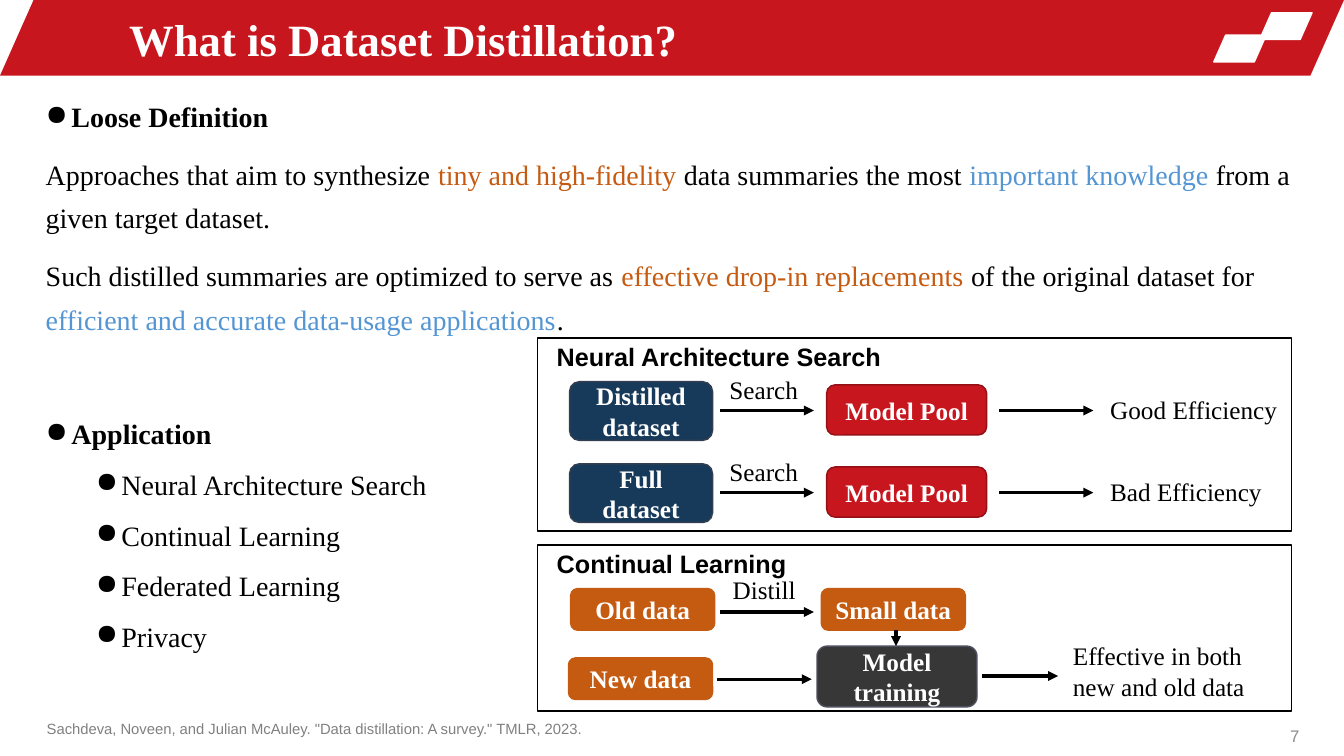
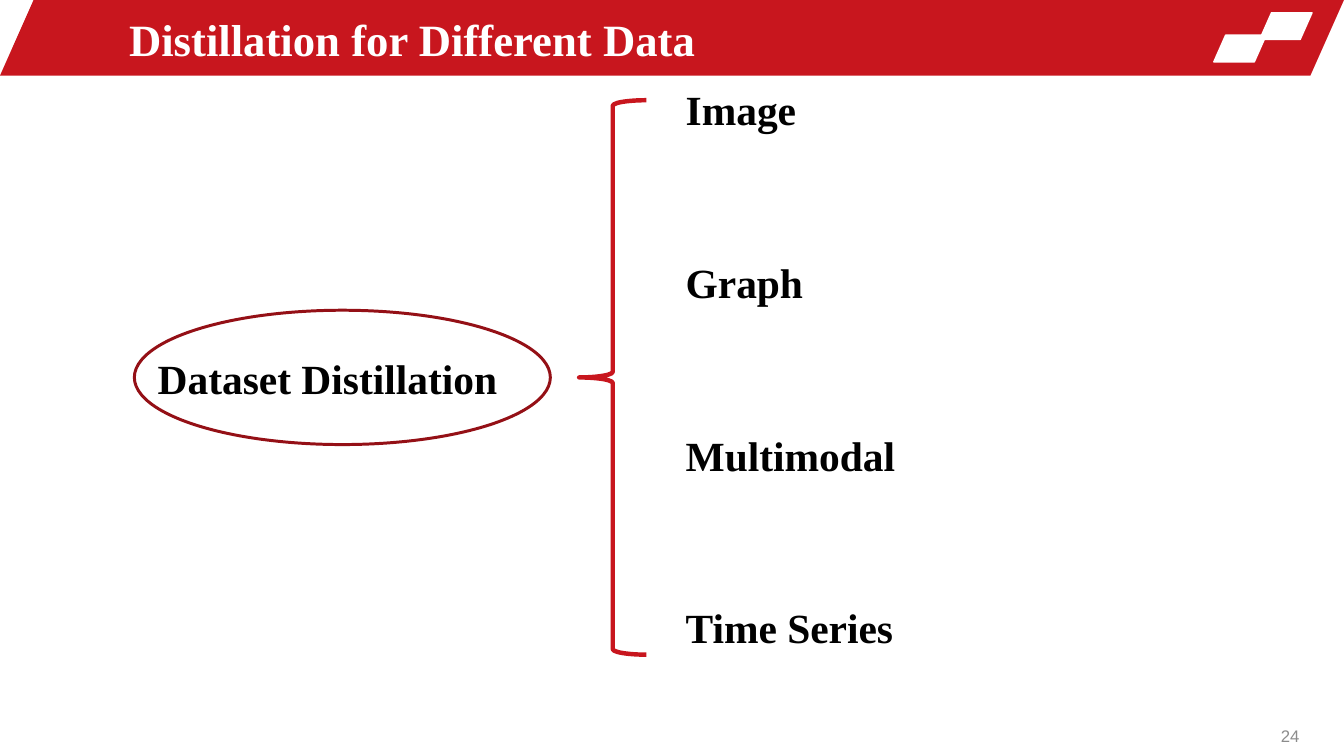
from lxml import etree
from pptx import Presentation
from pptx import util as u
from pptx.dml.color import RGBColor
from pptx.enum import shapes, text
from pptx.oxml.ns import qn

INK = {
    "red": "C8161E", "wine": "941016", "navy": "173A5A", "slate": "333F50",
    "rust": "C55A11", "blue": "5495D3", "coal": "373737", "steel": "4E505F",
    "black": "000000", "white": "FFFFFF", "gray": "808080", "pale": "8C8C8C",
}
SERIF, SANS = "Times New Roman", "Arial"
FORM, ALIGN, MID = shapes.MSO_SHAPE, text.PP_ALIGN, text.MSO_ANCHOR.MIDDLE


def tint(name):
    return RGBColor.from_string(INK[name])


class Deck:
    """Holds the shared style and the current slide."""

    def __init__(self, wide, high):
        self.prs = Presentation()
        self.prs.slide_width, self.prs.slide_height = u.Inches(wide), u.Inches(high)
        self.wide = wide

    def page(self, title, number):
        self.slide = self.prs.slides.add_slide(self.prs.slide_layouts[5])
        # Band with its two white marks
        for x, y, w, h, fill, line in ((0, 0, self.wide, 0.71, "red", None),
                                       (11.81, 0.12, 0.49, 0.25, "white", "white"),
                                       (11.38, 0.33, 0.49, 0.25, "white", "white")):
            mark = self.shape(FORM.PARALLELOGRAM, x, y, w, h, fill, line)
            mark.adjustments[0] = 0.444
        # Title, raised above the band
        head = self.slide.shapes.title
        self.slide.shapes._spTree.append(head._element)
        head.left, head.top = u.Inches(1.11), u.Inches(0.05)
        head.width, head.height = u.Inches(7.32), u.Inches(0.62)
        frame = head.text_frame
        frame.auto_size = text.MSO_AUTO_SIZE.NONE
        frame.vertical_anchor = MID
        para = frame.paragraphs[0]
        para.alignment = ALIGN.LEFT
        self.run(para, title, 30.2, "white", True)
        # Page number
        self.label(str(number), 11.21, 6.73, 1.07, 0.35, 11.3, "pale",
                   font=SANS, align=ALIGN.RIGHT, anchor=MID)

    def run(self, para, words, size=17, ink="black", bold=False, font=SERIF):
        run = para.add_run()
        run.text = words
        run.font.size, run.font.bold, run.font.name = u.Pt(size), bold, font
        run.font.color.rgb = tint(ink)

    def shape(self, form, x, y, w, h, fill=None, line=None, weight=1):
        item = self.slide.shapes.add_shape(
            form, u.Inches(x), u.Inches(y), u.Inches(w), u.Inches(h))
        item.shadow.inherit = False
        if fill:
            item.fill.solid()
            item.fill.fore_color.rgb = tint(fill)
        else:
            item.fill.background()
        if line:
            item.line.color.rgb = tint(line)
            item.line.width = u.Pt(weight)
        else:
            item.line.fill.background()
        return item

    def node(self, words, x, y, w, h, fill, line):
        frame = self.shape(FORM.ROUNDED_RECTANGLE, x, y, w, h, fill, line).text_frame
        frame.word_wrap, frame.vertical_anchor = True, MID
        frame.paragraphs[0].alignment = ALIGN.CENTER
        self.run(frame.paragraphs[0], words, 17, "white", True)

    def frame(self, x, y, w, h):
        box = self.slide.shapes.add_textbox(
            u.Inches(x), u.Inches(y), u.Inches(w), u.Inches(h))
        box.text_frame.word_wrap = True
        return box.text_frame

    def label(self, words, x, y, w, h=0.39, size=17, ink="black", bold=False,
              font=SERIF, align=ALIGN.LEFT, anchor=text.MSO_ANCHOR.TOP):
        frame = self.frame(x, y, w, h)
        frame.vertical_anchor = anchor
        frame.paragraphs[0].alignment = align
        self.run(frame.paragraphs[0], words, size, ink, bold, font)

    def panel(self, title, y, h):
        self.shape(FORM.RECTANGLE, 5.04, y, 7.07, h, line="black")
        self.label(title, 5.12, y - 0.02, 4.09, bold=True, font=SANS)

    def arrow(self, x1, y1, x2, y2):
        line = self.slide.shapes.add_connector(
            shapes.MSO_CONNECTOR.STRAIGHT,
            u.Inches(x1), u.Inches(y1), u.Inches(x2), u.Inches(y2))
        line.line.color.rgb = tint("black")
        line.line.width = u.Pt(2.25)
        etree.SubElement(line.line._get_or_add_ln(), qn("a:tailEnd"), type="triangle")
        etree.SubElement(line._element.spPr, qn("a:effectLst"))

    def prose(self, x, y, w, h, paras):
        """Each entry: indent of a bullet or None, space before, runs."""
        frame = self.frame(x, y, w, h)
        for i, (indent, gap, runs) in enumerate(paras):
            para = frame.add_paragraph() if i else frame.paragraphs[0]
            if indent is not None:
                props = para._p.get_or_add_pPr()
                props.set("marL", str(u.Inches(indent)))
                props.set("indent", str(u.Inches(-0.24)))
                etree.SubElement(props, qn("a:buChar"), char="●")
                para.level = int(indent > 0.5)
            para.line_spacing = 1.3
            para.space_before = u.Pt(gap)
            for words, ink, bold in runs:
                self.run(para, words, 18.9, ink, bold)


def define(deck):
    deck.page("What is Dataset Distillation?", 7)

    # Definition and list of uses
    uses = ("Neural Architecture Search", "Continual Learning",
            "Federated Learning", "Privacy")
    deck.prose(0.33, 0.79, 11.95, 5.98, [
        (0.24, 0, [("Loose Definition", "black", True)]),
        (None, 9.4, [("Approaches that aim to synthesize ", "black", False),
                     ("tiny and high-fidelity ", "rust", False),
                     ("data summaries the most ", "black", False),
                     ("important knowledge ", "blue", False),
                     ("from a given target dataset.", "black", False)]),
        (None, 9.4, [("Such distilled summaries are optimized to serve as ", "black", False),
                     ("effective drop-in replacements ", "rust", False),
                     ("of the original dataset for ", "black", False),
                     ("efficient and accurate data-usage applications", "blue", False),
                     (".", "black", False)]),
        (0.24, 48, [("Application", "black", True)]),
        *((0.71, 4.7, [(use, "black", False)]) for use in uses),
    ])
    deck.label('Sachdeva, Noveen, and Julian McAuley. "Data distillation: A survey." '
               'TMLR, 2023.', 0.34, 6.7, 10.8, 0.27, 10, "gray", font=SANS)

    # Search panel: one row per kind of dataset
    deck.panel("Neural Architecture Search", 3.17, 1.81)
    for i, (data, result) in enumerate((("Distilled dataset", "Good Efficiency"),
                                        ("Full dataset", "Bad Efficiency"))):
        mid = 3.85 + 0.77 * i
        deck.node(data, 5.34, mid - 0.27, 1.34, 0.55, "navy", "slate")
        deck.label("Search", 6.74, mid - 0.39, 1.02)
        deck.arrow(6.75, mid, 7.63, mid)
        deck.node("Model Pool", 7.75, mid - 0.24, 1.5, 0.47, "red", "wine")
        deck.arrow(9.37, mid, 10.25, mid)
        deck.label(result, 10.31, mid - 0.2, 1.8)

    # Learning panel
    deck.panel("Continual Learning", 5.11, 1.56)
    for words, x, y in (("Old data", 5.35, 5.52), ("Small data", 7.7, 5.52),
                        ("New data", 5.33, 6.17)):
        deck.node(words, x, y, 1.35, 0.39, "rust", "rust")
    deck.node("Model training", 7.66, 6.06, 1.5, 0.57, "coal", "steel")
    deck.label("Distill", 6.77, 5.34, 1.02)
    for ends in ((6.75, 5.74, 7.63, 5.74), (6.72, 6.37, 7.61, 6.37),
                 (8.4, 5.91, 8.4, 6.06), (9.21, 6.34, 9.92, 6.34)):
        deck.arrow(*ends)
    deck.label("Effective in both new and old data", 9.96, 5.96, 2.08, 0.67)


def kinds(deck):
    deck.page("Distillation for Different Data", 24)

    # Root and brace
    deck.shape(FORM.OVAL, 1.26, 2.91, 3.9, 1.26, line="wine", weight=2)
    deck.label("Dataset Distillation", 1.38, 3.26, 3.78, 0.57, 28, bold=True)
    deck.shape(FORM.LEFT_BRACE, 5.43, 0.94, 0.63, 5.2, line="red", weight=3)

    # Kinds of data, evenly spaced
    for i, kind in enumerate(("Image", "Graph", "Multimodal", "Time Series")):
        deck.label(kind, 6.33, 0.74 + 1.62 * i, 2.52, 0.57, 28, bold=True)


def main():
    deck = Deck(12.6, 7.09)
    define(deck)
    kinds(deck)
    deck.prs.save("out.pptx")


if __name__ == "__main__":
    main()
